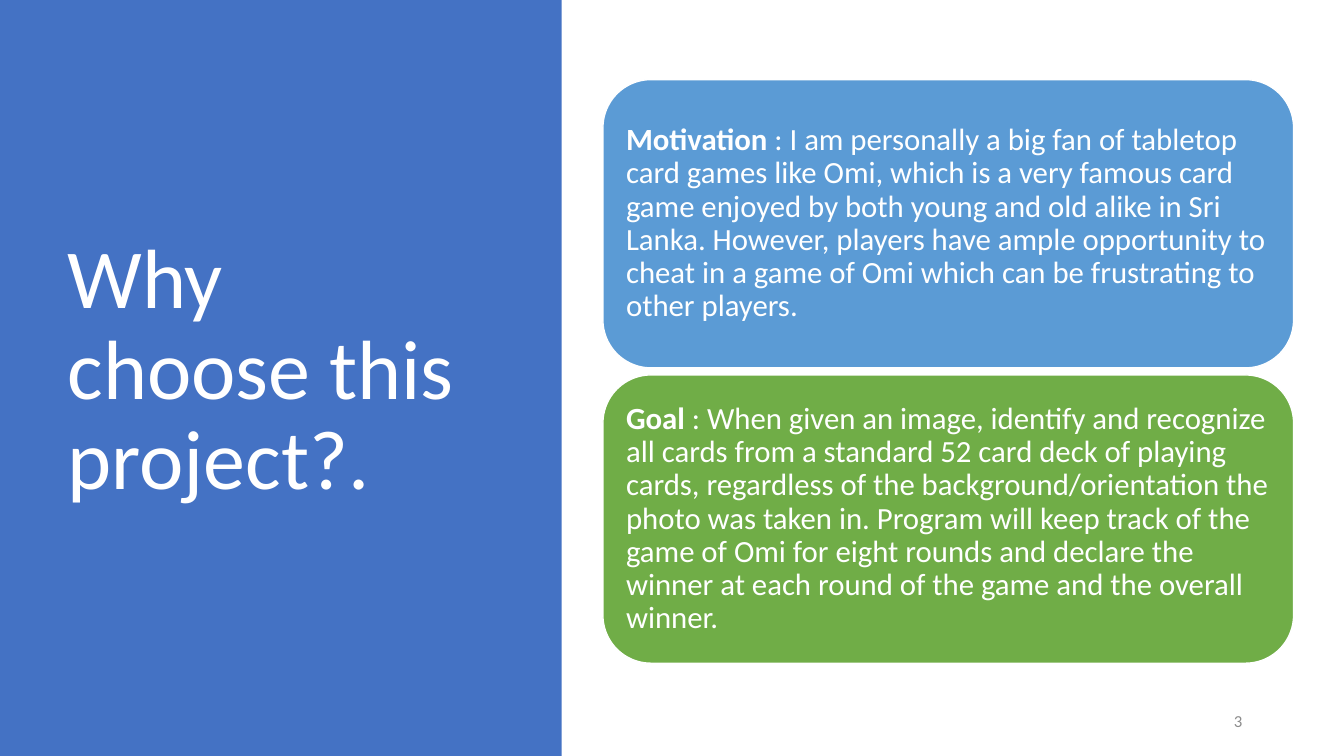
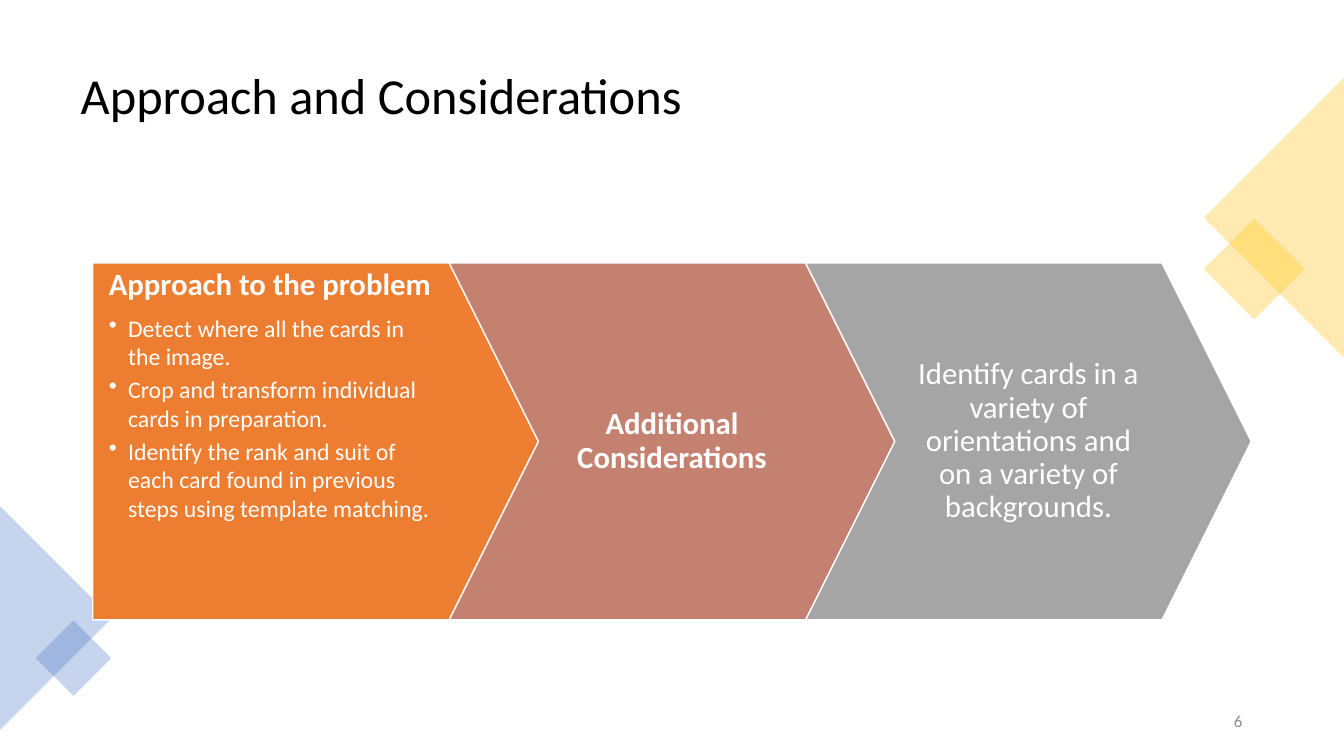
from pptx import Presentation
from pptx.dml.color import RGBColor
from pptx.enum.shapes import MSO_SHAPE as Shape
from pptx.enum.text import MSO_ANCHOR as Anchor, PP_ALIGN as Align
from pptx.oxml.ns import qn
from pptx.util import Inches, Pt
from lxml.etree import SubElement

# Shared look
FONT = "Calibri"
WHITE = RGBColor(0xFF, 0xFF, 0xFF)
BLACK = RGBColor(0, 0, 0)
BLUE = RGBColor(0x44, 0x72, 0xC4)
SKY = RGBColor(0x5B, 0x9B, 0xD5)
GREEN = RGBColor(0x70, 0xAD, 0x47)
GOLD = RGBColor(0xFF, 0xC0, 0x00)
ORANGE = RGBColor(0xED, 0x7D, 0x31)
ROSE = RGBColor(0xC4, 0x81, 0x70)
GRAY = RGBColor(0xA5, 0xA5, 0xA5)
DIM = RGBColor(0x8C, 0x8C, 0x8C)
WIDE, HIGH = 13.33, 7.5

CARDS = [
    (SKY, "Motivation", " : I am personally a big fan of tabletop card games like "
     "Omi, which is a very famous card game enjoyed by both young and old alike "
     "in Sri Lanka. However, players have ample opportunity to cheat in a game "
     "of Omi which can be frustrating to other players."),
    (GREEN, "Goal", " : When given an image, identify and recognize all cards from "
     "a standard 52 card deck of playing cards, regardless of the "
     "background/orientation the photo was taken in. Program will keep track of "
     "the game of Omi for eight rounds and declare the winner at each round of "
     "the game and the overall winner."),
]
STEPS = [
    "Detect where all the cards in the image.",
    "Crop and transform individual cards in preparation.",
    "Identify the rank and suit of each card found in previous steps using "
    "template matching.",
]


def style(font, size, color, bold=False):
    font.name, font.size, font.bold = FONT, Pt(size), bold
    font.color.rgb = color


def box(slide, kind, area, fill, edge=False):
    """Add a flat preset shape."""
    shape = slide.shapes.add_shape(kind, *map(Inches, area))
    shape.shadow.inherit = False
    shape.fill.solid()
    shape.fill.fore_color.rgb = fill
    if edge:
        shape.line.color.rgb = WHITE
        shape.line.width = Pt(1)
    else:
        shape.line.fill.background()
    return shape


def inset(frame, left, top, right, low):
    frame.margin_left, frame.margin_top = Inches(left), Inches(top)
    frame.margin_right, frame.margin_bottom = Inches(right), Inches(low)


def write(par, parts, align=Align.LEFT, size=22):
    """Fill a paragraph with (text, bold) runs."""
    par.alignment, par.line_spacing = align, 0.9
    for text, bold in parts:
        run = par.add_run()
        run.text = text
        style(run.font, size, WHITE, bold)


def head(slide, text, area, size, color):
    title = slide.shapes.title
    title.left, title.top, title.width, title.height = map(Inches, area)
    frame = title.text_frame
    frame.text, frame.word_wrap = text, True
    frame.vertical_anchor = Anchor.MIDDLE
    par = frame.paragraphs[0]
    par.alignment, par.line_spacing = Align.LEFT, 0.9
    style(par.runs[0].font, size, color)


def number(slide, text):
    area = map(Inches, (9.42, 6.95, 3, 0.4))
    frame = slide.shapes.add_textbox(*area).text_frame
    frame.text, frame.word_wrap = text, True
    frame.vertical_anchor = Anchor.MIDDLE
    par = frame.paragraphs[0]
    par.alignment = Align.RIGHT
    style(par.runs[0].font, 12, DIM)


def panel(slide, width):
    """Colour band at the left edge, behind the title."""
    band = box(slide, Shape.RECTANGLE, (0, 0, width, HIGH), BLUE)
    slide.shapes._spTree.insert(2, band._element)


def stack(slide, left, top, width, height, gap=0.07):
    """Rounded cards, one above the other."""
    tall = (height - gap * (len(CARDS) - 1)) / len(CARDS)
    for i, (fill, label, text) in enumerate(CARDS):
        area = (left, top + i * (tall + gap), width, tall)
        frame = box(slide, Shape.ROUNDED_RECTANGLE, area, fill, True).text_frame
        frame.word_wrap, frame.vertical_anchor = True, Anchor.MIDDLE
        inset(frame, 0.09, 0.09, 0.09, 0.09)
        write(frame.paragraphs[0], [(label, True), (text, False)])


def glass(slide, kind, mid, size, turn, color):
    """See-through turned shape, centred on mid."""
    (x, y), (wide, tall) = mid, size
    area = (x - wide / 2, y - tall / 2, wide, tall)
    shape = box(slide, kind, area, color)
    shape.rotation = turn
    tint = shape._element.spPr.find(qn("a:solidFill"))[0]
    SubElement(tint, qn("a:alpha"), val="30000")


def corner(slide, edge, y, half, turn, color, gem, side):
    """Triangle rising from a slide edge, with a small diamond."""
    x = edge + (half / 2 if edge == 0 else -half / 2)
    glass(slide, Shape.ISOSCELES_TRIANGLE, (x, y), (2 * half, half), turn, color)
    glass(slide, Shape.RECTANGLE, gem, (side, side), 45, color)


def bullet(par, text):
    props = par._p.get_or_add_pPr()
    props.set("marL", str(Inches(0.19)))
    props.set("indent", str(-Inches(0.19)))
    SubElement(props, qn("a:buChar"), char="•")
    write(par, [(text, False)], size=17)
    par.line_spacing, par.space_after = 1.0, Pt(3)


def chain(slide, left, top, width, height):
    """Arrow steps that interlock: each point is a quarter of the height."""
    tip = height / 4
    step = (width - tip) / 3
    looks = [(Shape.PENTAGON, ORANGE), (Shape.CHEVRON, ROSE), (Shape.CHEVRON, GRAY)]
    frames = []
    for i, (kind, fill) in enumerate(looks):
        arrow = box(slide, kind, (left + i * step, top, step + tip, height), fill, True)
        arrow.adjustments[0] = 0.25
        frame = arrow.text_frame
        frame.word_wrap, frame.vertical_anchor = True, Anchor.MIDDLE
        inset(frame, 0.16, 0.06, 0.16, 0.06)
        frames.append(frame)

    first, second, third = frames
    first.vertical_anchor = Anchor.TOP
    first.margin_right = Inches(0.62)
    par = first.paragraphs[0]
    write(par, [("Approach to the problem", True)])
    par.space_after = Pt(8)
    for text in STEPS:
        bullet(first.add_paragraph(), text)
    write(second.paragraphs[0], [("Additional Considerations", True)], Align.CENTER)
    write(third.paragraphs[0], [("Identify cards in a variety of orientations and on "
                                 "a variety of backgrounds.", False)], Align.CENTER)


def reason(slide):
    panel(slide, 5.57)
    head(slide, "Why choose this project?.", (0.57, 0.68, 4.16, 6.02), 60, WHITE)
    stack(slide, 5.98, 0.79, 6.85, 5.79)
    number(slide, "3")


def method(slide):
    head(slide, "Approach and Considerations", (0.7, 0.35, 11.93, 1.24), 36, BLACK)
    corner(slide, WIDE, 2.16, 1.39, 270, GOLD, (12.44, 2.67), 0.71)
    corner(slide, 0, 6.13, 1.11, 90, BLUE, (0.73, 6.53), 0.53)
    chain(slide, 0.92, 2.61, 11.49, 3.54)
    number(slide, "6")


def main():
    deck = Presentation()
    deck.slide_width, deck.slide_height = Inches(WIDE), Inches(HIGH)
    for build in (reason, method):
        build(deck.slides.add_slide(deck.slide_layouts[5]))
    deck.save("out.pptx")


if __name__ == "__main__":
    main()
